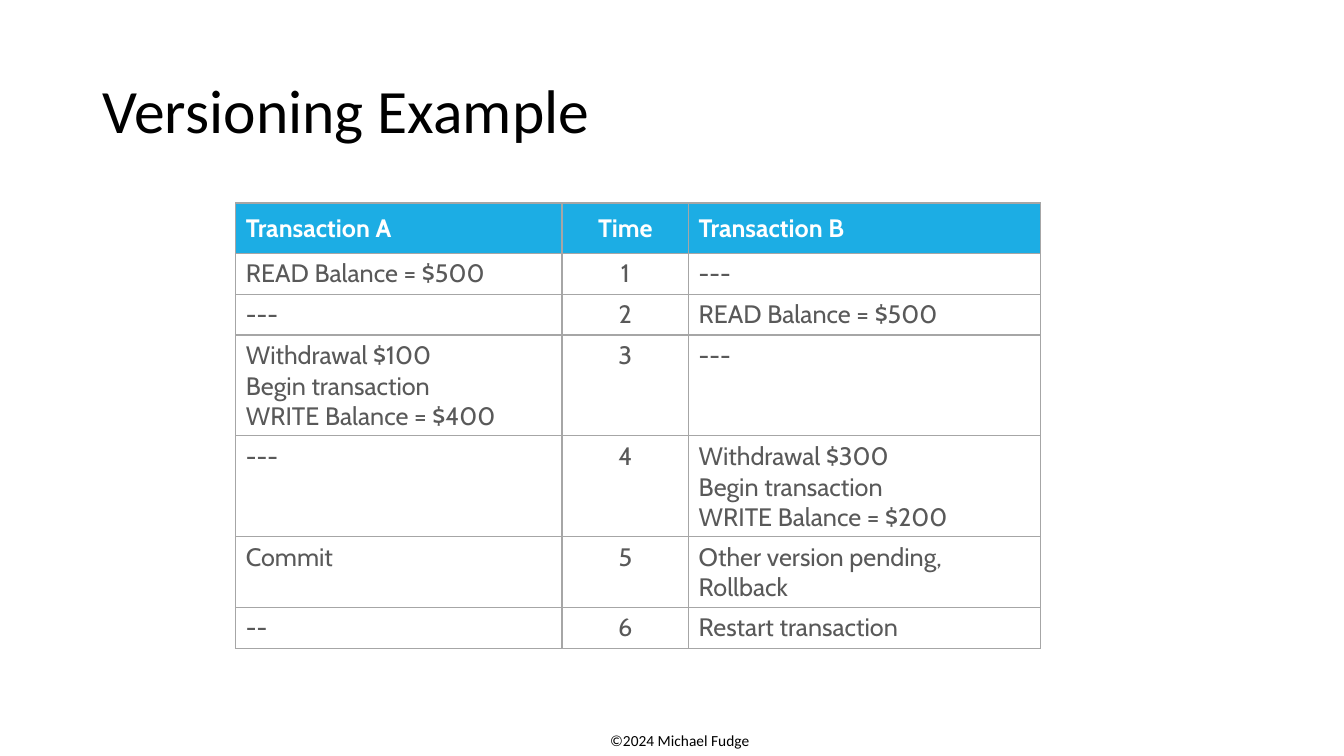
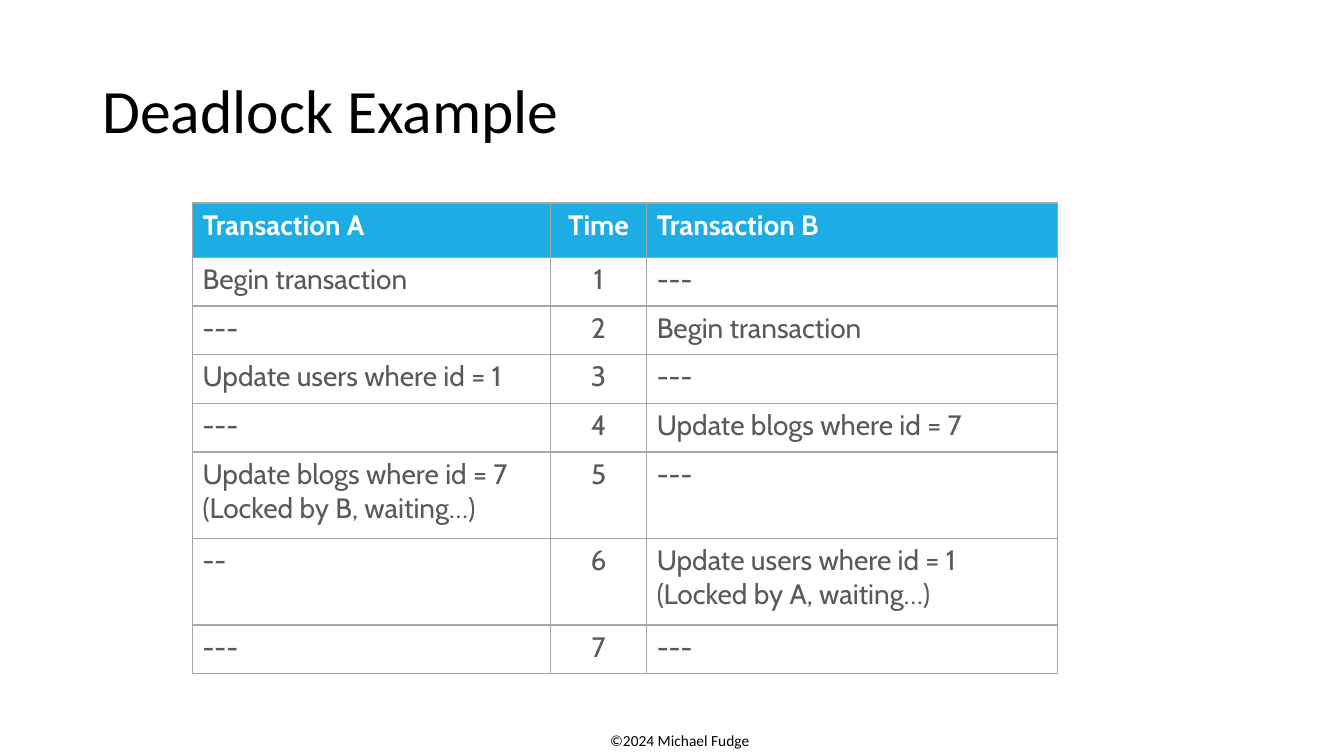
import lxml.etree
import pptx
import pptx.dml.color
import pptx.enum.text
import pptx.oxml.ns
import pptx.util

RGB = pptx.dml.color.RGBColor
ALIGN = pptx.enum.text.PP_ALIGN
ANCHOR = pptx.enum.text.MSO_ANCHOR
SIZE = pptx.enum.text.MSO_AUTO_SIZE
qn = pptx.oxml.ns.qn

# Shared look
BLACK = RGB(0x00, 0x00, 0x00)
WHITE = RGB(0xFF, 0xFF, 0xFF)
BLUE = RGB(0x1C, 0xAD, 0xE4)
GREY = RGB(0x59, 0x59, 0x59)
RULE = RGB(0xA6, 0xA6, 0xA6)
PLAIN, ROUND = "Calibri", "Cabin"
WIDTH, HEIGHT = pptx.util.Inches(13.333), pptx.util.Inches(7.5)
TABLE_TOP = 26.84
HEAD = ("Transaction A", "Time", "Transaction B")
FOOT = "©2024 Michael Fudge"

# Table rows: what A does, what B does (time is counted)
VERSION = [
    ("READ Balance = $500", "---"),
    ("---", "READ Balance = $500"),
    ("Withdrawal $100\nBegin transaction\nWRITE Balance = $400", "---"),
    ("---", "Withdrawal $300\nBegin transaction\nWRITE Balance = $200"),
    ("Commit", "Other version pending, Rollback"),
    ("--", "Restart transaction"),
]
DEADLOCK = [
    ("Begin transaction", "---"),
    ("---", "Begin transaction"),
    ("Update users where id = 1", "---"),
    ("---", "Update blogs where id = 7"),
    ("Update blogs where id = 7\n(Locked by B, waiting…)", "---"),
    ("--", "Update users where id = 1\n(Locked by A, waiting…)"),
    ("---", "---"),
]


def wide(share):
    """Percent of the slide's width."""
    return round(WIDTH * share / 100)


def high(share):
    """Percent of the slide's height."""
    return round(HEIGHT * share / 100)


def place(shape, left, top, width, height):
    shape.left, shape.top = wide(left), high(top)
    shape.width, shape.height = wide(width), high(height)


def write(frame, text, font, size, color, align=ALIGN.LEFT, bold=False):
    """Fill the first paragraph, one run for each line."""
    para = frame.paragraphs[0]
    para.alignment = align
    for i, line in enumerate(text.split("\n")):
        if i:
            para.add_line_break()
        run = para.add_run()
        run.text = line
        run.font.name, run.font.size = font, pptx.util.Pt(size)
        run.font.color.rgb, run.font.bold = color, bold
    return para


def add_foot(slide):
    box = slide.shapes.add_textbox(wide(43.12), high(96.08),
                                   wide(14.93), high(3.8))
    frame = box.text_frame
    frame.word_wrap = True
    frame.auto_size = SIZE.SHAPE_TO_FIT_TEXT
    write(frame, FOOT, PLAIN, 11, BLACK, ALIGN.CENTER)


def add_slide(deck, layout, title):
    """A slide with its title and the shared footer."""
    slide = deck.slides.add_slide(layout)
    frame = slide.shapes.title.text_frame
    frame.auto_size = SIZE.NONE
    frame.vertical_anchor = ANCHOR.MIDDLE
    write(frame, title, PLAIN, 44, BLACK).line_spacing = 0.9
    add_foot(slide)
    return slide


def rule_cell(cell):
    """Draw the four thin borders of a cell."""
    props = cell._tc.get_or_add_tcPr()
    for side in ("a:lnL", "a:lnR", "a:lnT", "a:lnB"):
        line = lxml.etree.SubElement(props, qn(side), w="12700")
        fill = lxml.etree.SubElement(line, qn("a:solidFill"))
        lxml.etree.SubElement(fill, qn("a:srgbClr"), val=str(RULE))


def add_table(slide, left, cols, rows, size, steps, anchor):
    """Timed steps of two transactions; cols and rows are percents."""
    data = [HEAD] + [(a, str(t), b) for t, (a, b) in enumerate(steps, 1)]
    table = slide.shapes.add_table(
        len(data), len(cols), wide(left), high(TABLE_TOP),
        wide(sum(cols)), high(sum(rows))).table
    table.first_row = table.horz_banding = False
    for col, share in zip(table.columns, cols):
        col.width = wide(share)
    for r, (row, share) in enumerate(zip(table.rows, rows)):
        row.height = high(share)
        head = r == 0
        for c, cell in enumerate(row.cells):
            rule_cell(cell)
            cell.fill.solid()
            cell.fill.fore_color.rgb = BLUE if head else WHITE
            cell.vertical_anchor = anchor if head else ANCHOR.TOP
            write(cell.text_frame, data[r][c], ROUND, size,
                  WHITE if head else GREY,
                  ALIGN.CENTER if c == 1 else ALIGN.LEFT, head)


def main():
    deck = pptx.Presentation()
    deck.slide_width, deck.slide_height = WIDTH, HEIGHT
    layout = deck.slide_layouts.get_by_name("Title Only")
    place(layout.placeholders[0], 6.87, 5.33, 86.25, 19.33)

    # Versioning
    slide = add_slide(deck, layout, "Versioning Example")
    add_table(slide, 17.55, (24.27, 9.42, 26.18), [6.67] + [5.41] * 6,
              18, VERSION, ANCHOR.MIDDLE)

    # Deadlock
    slide = add_slide(deck, layout, "Deadlock Example")
    add_table(slide, 14.32, (26.64, 7.16, 30.54),
              [7.2] + [6.44] * 4 + [11.45] * 2 + [6.44],
              20, DEADLOCK, ANCHOR.TOP)

    deck.save("out.pptx")


if __name__ == "__main__":
    main()
